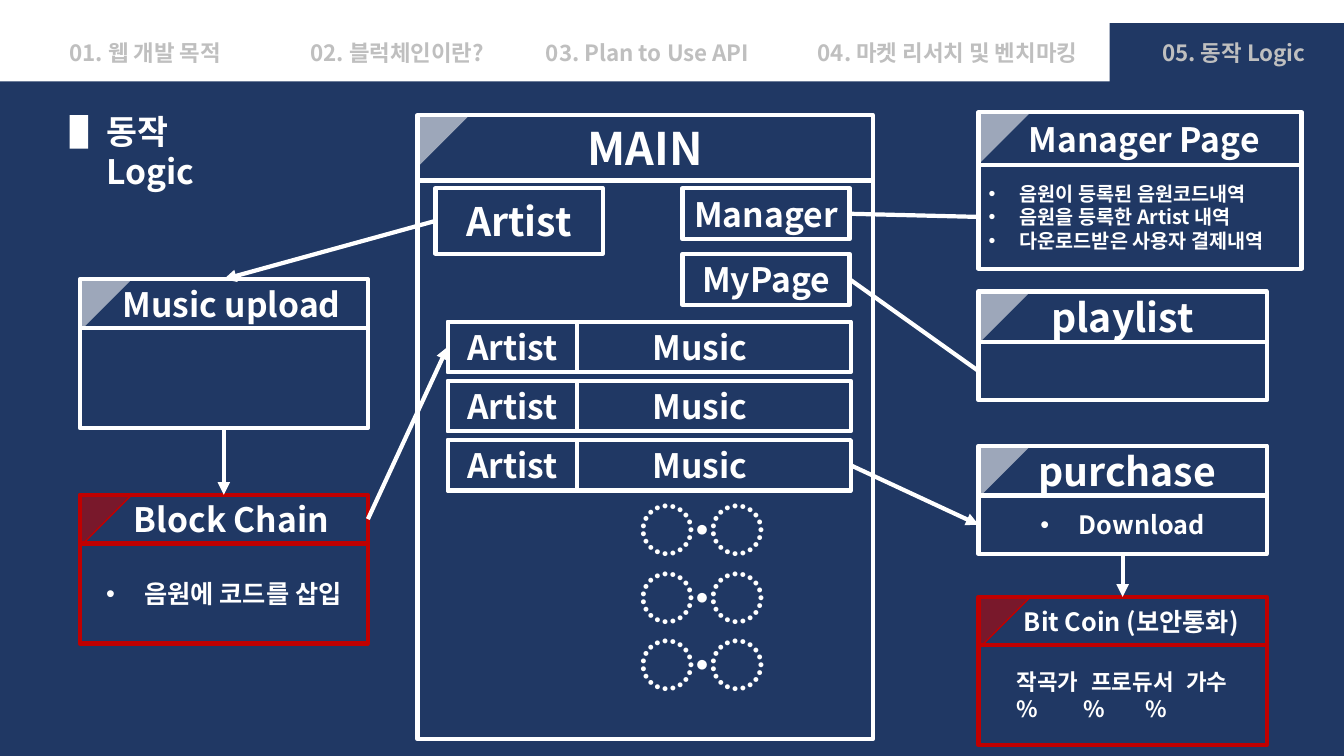
from lxml import etree
from pptx import Presentation
from pptx.dml.color import RGBColor
from pptx.enum.shapes import MSO_CONNECTOR, MSO_SHAPE
from pptx.enum.text import MSO_ANCHOR, MSO_AUTO_SIZE, PP_ALIGN
from pptx.oxml.ns import qn
from pptx.util import Inches, Pt

RECT, CORNER = MSO_SHAPE.RECTANGLE, MSO_SHAPE.RIGHT_TRIANGLE
STRAIGHT = MSO_CONNECTOR.STRAIGHT
LEFT, CENTER, JUSTIFY = PP_ALIGN.LEFT, PP_ALIGN.CENTER, PP_ALIGN.JUSTIFY
TOP, MIDDLE = MSO_ANCHOR.TOP, MSO_ANCHOR.MIDDLE
GROW = MSO_AUTO_SIZE.SHAPE_TO_FIT_TEXT

NAVY = RGBColor(0x20, 0x38, 0x64)
WHITE = RGBColor(0xFF, 0xFF, 0xFF)
GREY = RGBColor(0xBF, 0xBF, 0xBF)
RED = RGBColor(0xC0, 0x00, 0x00)
FONT = "Noto Sans CJK KR"

# Grid of square cells, 160 columns by 90 rows
COLS, ROWS = 160, 90
CELL = Inches(7.5) / ROWS
PANEL_W, PANEL_X, SIDE_X = 34.3, 9.5, 116.5

# Connection sites of a rectangle
SITE_TOP, SITE_LEFT, SITE_BOTTOM, SITE_RIGHT = range(4)


def grid(*cells):
    return [round(c * CELL) for c in cells]


def write(sp, lines, size, color=WHITE, align=CENTER, anchor=MIDDLE,
          wrap=True, hang=0, lead=0, tabs=()):
    """Fill a shape with lines; hang makes bullets, lead shifts the left inset."""
    tf = sp.text_frame
    frame = {"word_wrap": wrap, "vertical_anchor": anchor,
             "margin_left": Inches(0.1 + lead)}
    for name, value in frame.items():
        setattr(tf, name, value)
    for i, line in enumerate(lines):
        p = tf.paragraphs[0] if i == 0 else tf.add_paragraph()
        p.alignment = align
        pPr = p._p.get_or_add_pPr()
        if hang:
            pPr.set("marL", str(Inches(hang)))
            pPr.set("indent", str(-Inches(hang)))
            etree.SubElement(pPr, qn("a:buFont"), typeface="Arial")
            etree.SubElement(pPr, qn("a:buChar"), char="•")
        if tabs:
            stops = etree.SubElement(pPr, qn("a:tabLst"))
            for stop in tabs[i]:
                etree.SubElement(stops, qn("a:tab"), pos=str(Inches(stop)), algn="l")
        r = p.add_run()
        r.text = line
        for name, value in {"name": FONT, "size": Pt(size), "bold": True}.items():
            setattr(r.font, name, value)
        r.font.color.rgb = color
        etree.SubElement(r._r.get_or_add_rPr(), qn("a:ea"), typeface=FONT)


def add_label(s, cells, lines, size, **fmt):
    sp = s.shapes.add_textbox(*grid(*cells))
    write(sp, lines, size, anchor=TOP, **fmt)
    sp.text_frame.auto_size = GROW
    return sp


def add_block(s, cells, color):
    sp = s.shapes.add_shape(RECT, *grid(*cells))
    sp.shadow.inherit = False
    sp.fill.solid()
    sp.fill.fore_color.rgb = color
    sp.line.fill.background()


def add_box(s, cells, lines=(), size=24, color=WHITE, **fmt):
    sp = s.shapes.add_shape(RECT, *grid(*cells))
    sp.shadow.inherit = False
    sp.fill.background()
    sp.line.color.rgb = color
    sp.line.width = Pt(3)
    write(sp, lines, size, **fmt)
    return sp


def add_corner(s, left, top, color):
    sp = s.shapes.add_shape(CORNER, *grid(left, top, 6.2, 6.2))
    sp.shadow.inherit = False
    sp.rotation = 90
    sp.fill.solid()
    sp.fill.fore_color.rgb = color
    clr = sp.fill._xPr.find(qn("a:solidFill"))[0]
    etree.SubElement(clr, qn("a:alpha"), val="56000")
    if color == RED:
        sp.line.color.rgb = color
        sp.line.width = Pt(1)
    else:
        sp.line.fill.background()


def add_panel(s, left, top, head_h, body_h, title, size, width=PANEL_W,
              color=WHITE, lead=0, lines=(), body_size=18, **fmt):
    """Titled header with a shaded corner above a body; returns both boxes."""
    body = add_box(s, (left, top + head_h, width, body_h), lines, body_size,
                   color, **fmt)
    add_corner(s, left, top, color)
    head = add_box(s, (left, top, width, head_h), [title], size, color, lead=lead)
    return head, body


def add_link(s, start, start_site, end, end_site, arrow=True):
    c = s.shapes.add_connector(STRAIGHT, 0, 0, 0, 0)
    c.begin_connect(start, start_site)
    c.end_connect(end, end_site)
    c.line.color.rgb = WHITE
    c.line.width = Pt(3)
    if arrow:
        etree.SubElement(c.line._get_or_add_ln(), qn("a:tailEnd"), type="triangle")
    etree.SubElement(c._element.spPr, qn("a:effectLst"))


def add_navigation(s):
    add_block(s, (0, 9.7, COLS, ROWS - 9.7), NAVY)
    add_block(s, (132.1, 2.75, COLS - 132.1, 10.8), NAVY)
    items = [("01. 웹 개발 목적", 5.2, 24.2), ("02. 블럭체인이란?", 35.2, 24.2),
             ("03. Plan to Use API", 63.4, 27.4),
             ("04. 마켓 리서치 및 벤치마킹", 94.4, 36.8),
             ("05. 동작 Logic", 134.8, 24.2)]
    for text, left, width in items:
        add_label(s, (left, 4.05, width, 4.4), [text], 16, color=GREY)


def add_heading(s):
    add_block(s, (8.3, 13.7, 2.2, 4), WHITE)
    sp = add_label(s, (11.5, 12.6, 22.1, 6), ["동작 Logic"], 24, align=LEFT)
    sp.text_frame.margin_right = Inches(0.5)


def add_tracks(s):
    """Three artist and music rows; returns (artist, row) pairs."""
    tracks = []
    for i in range(3):
        top = 38.3 + 7.05 * i
        row = add_box(s, (53.3, top, 48, 6), ["Music"], lead=1)
        artist = add_box(s, (53.3, top, 15.4, 6), ["Artist"])
        tracks.append((artist, row))
    add_label(s, (74.9, 58.45, 4.7, 25.4), ["〮"] * 3, 40, align=LEFT, wrap=False)
    return tracks


def main():
    prs = Presentation()
    prs.slide_width, prs.slide_height = grid(COLS, ROWS)
    s = prs.slides.add_slide(prs.slide_layouts[6])
    add_navigation(s)
    add_heading(s)

    # Main page with its buttons and tracks
    add_panel(s, 49.7, 13.7, 7.8, 66.5, "MAIN", 32, width=54.2)
    artist = add_box(s, (51.85, 22.4, 19.9, 7.8), ["Artist"], 28)
    manager = add_box(s, (81.25, 22.4, 19.9, 6.1), ["Manager"])
    my_page = add_box(s, (81.25, 30.2, 19.9, 6.1), ["MyPage"])
    tracks = add_tracks(s)

    # Left side: upload and block chain
    upload, upload_body = add_panel(s, PANEL_X, 33.25, 5.8, 11.9,
                                    "Music upload", 24, lead=0.15)
    chain, _ = add_panel(s, PANEL_X, 58.9, 5.8, 11.9, "Block Chain", 24,
                         color=RED, lead=0.15, lines=["음원에 코드를 삽입"],
                         hang=0.38)

    # Right side: manager page, playlist, purchase, payment
    _, manager_body = add_panel(
        s, SIDE_X, 13.35, 6.3, 12.35, "Manager Page", 24, width=38.45, lead=0.08,
        lines=["음원이 등록된 음원코드내역", "음원을 등록한 Artist 내역",
               "다운로드받은 사용자 결제내역"],
        body_size=14, align=JUSTIFY, hang=0.31)
    _, playlist_body = add_panel(s, SIDE_X, 34.7, 6, 6.95, "playlist", 28)
    _, purchase_body = add_panel(s, SIDE_X, 53.05, 5.95, 6.95, "purchase", 28,
                                 lead=0.09, lines=["Download"], hang=0.38)
    coin, _ = add_panel(s, SIDE_X, 71.05, 5.75, 11.9, "Bit Coin (보안통화)", 18,
                        color=RED, lead=0.17,
                        lines=["작곡가\t프로듀서\t가수", "%\t%\t%"], body_size=16,
                        align=LEFT, tabs=[(0.74, 1.68), (0.66, 1.28)])
    coin_body = s.shapes[-3]
    coin_body.text_frame.margin_left = Inches(0.38)

    # Flow between the parts
    add_link(s, artist, SITE_LEFT, upload, SITE_TOP)
    add_link(s, upload_body, SITE_BOTTOM, chain, SITE_TOP)
    add_link(s, chain, SITE_RIGHT, tracks[0][0], SITE_LEFT)
    add_link(s, manager, SITE_RIGHT, manager_body, SITE_LEFT, arrow=False)
    add_link(s, my_page, SITE_RIGHT, playlist_body, SITE_LEFT, arrow=False)
    add_link(s, tracks[2][1], SITE_RIGHT, purchase_body, SITE_LEFT)
    add_link(s, purchase_body, SITE_BOTTOM, coin, SITE_TOP)

    prs.save("out.pptx")


if __name__ == "__main__":
    main()
